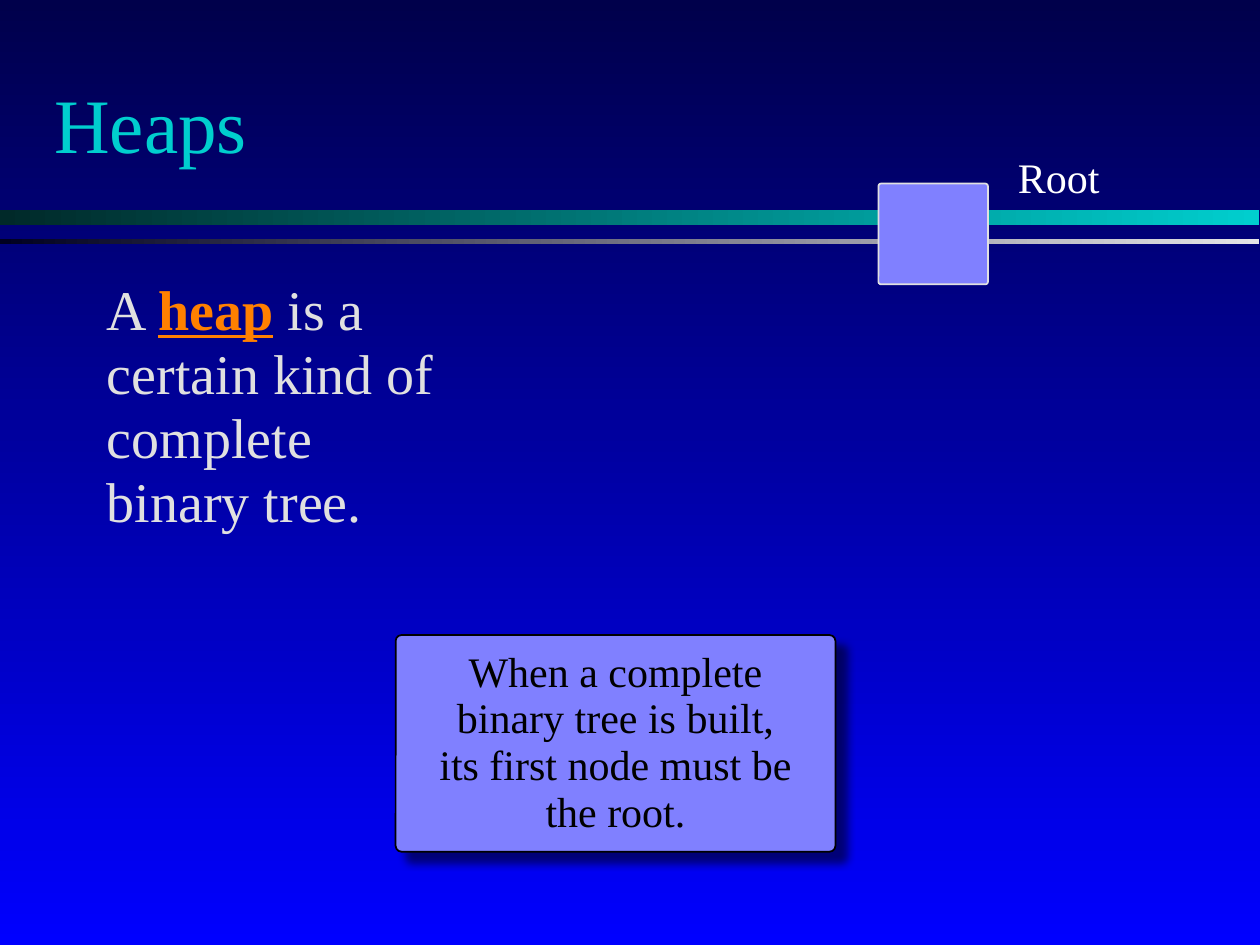
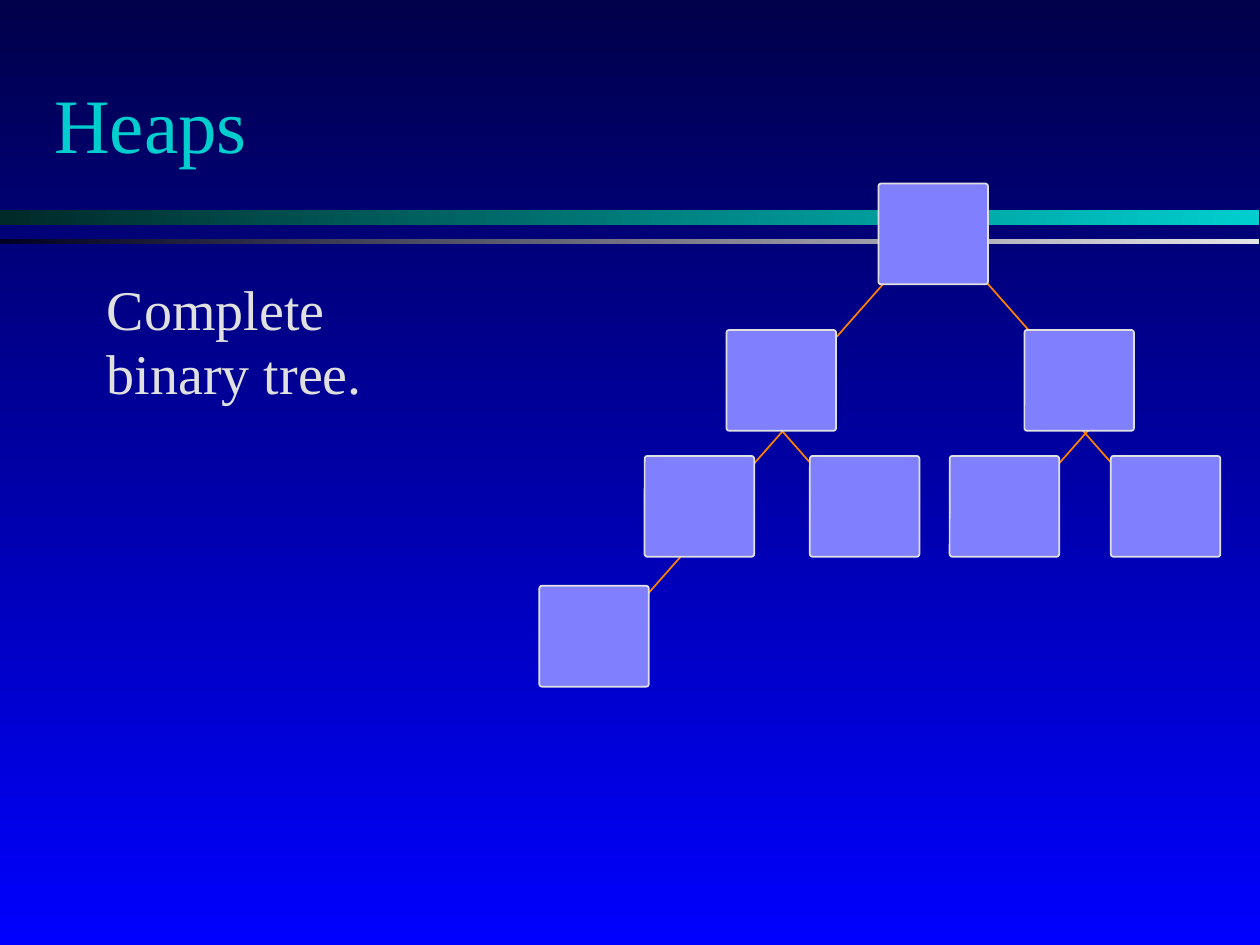
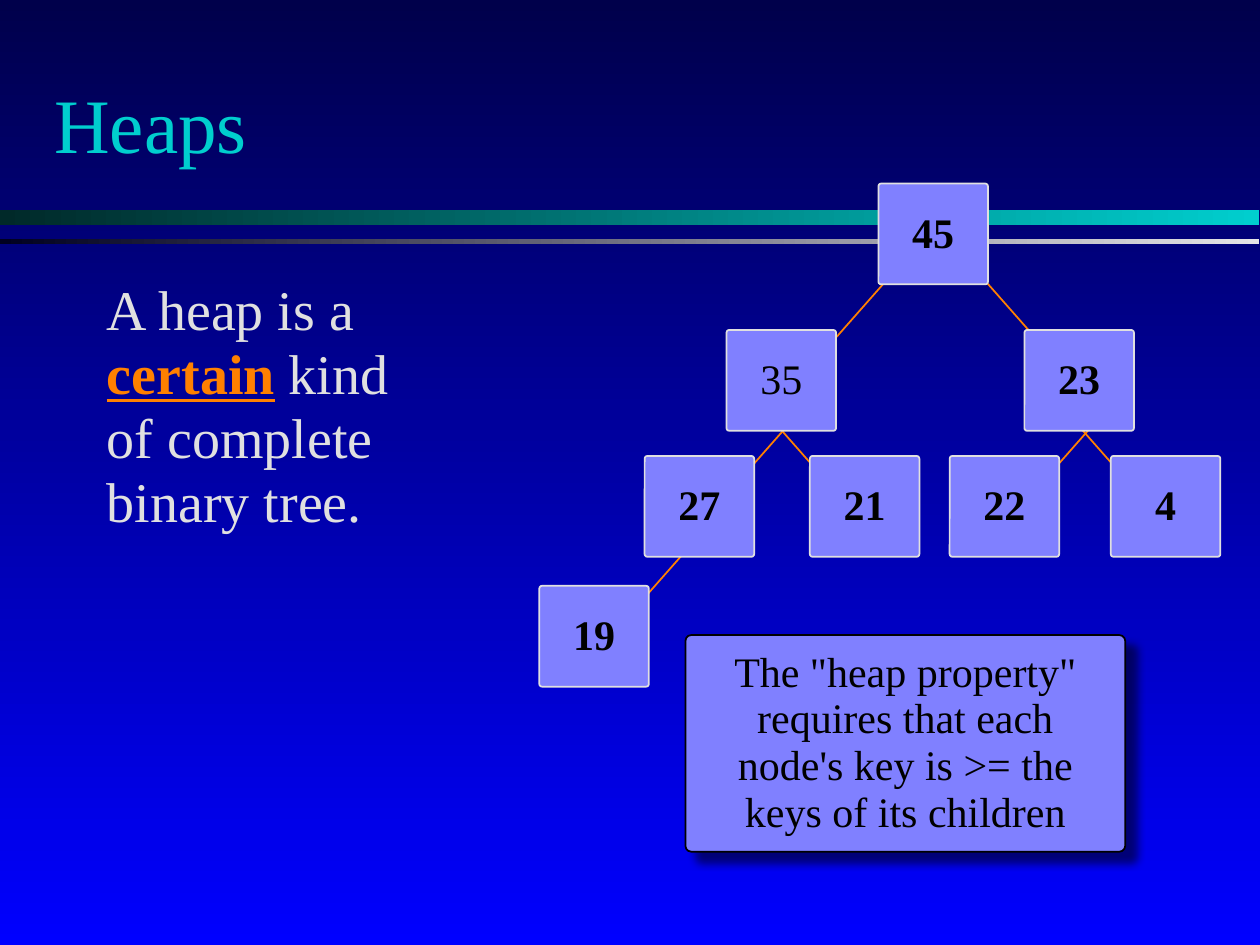
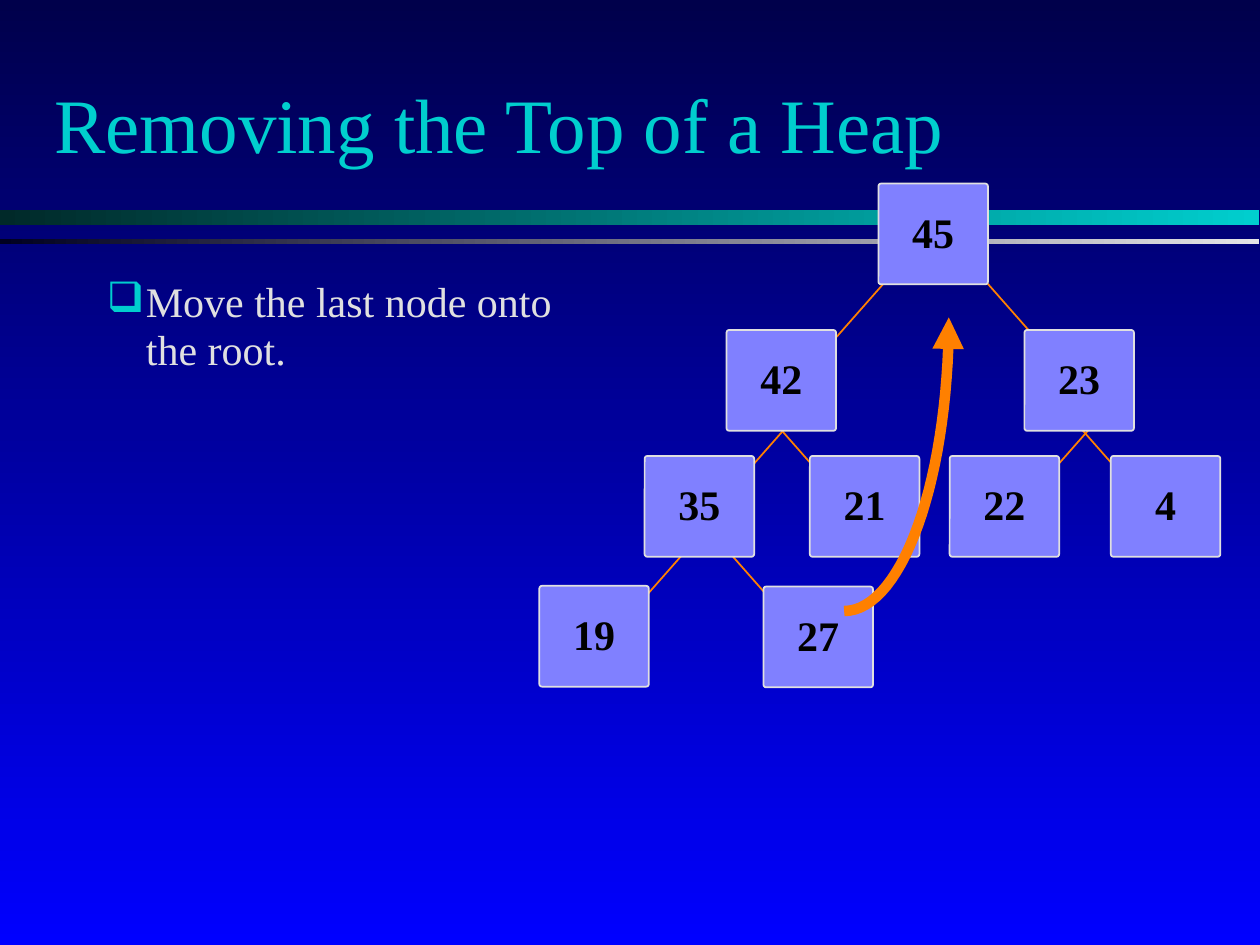
"""Build four slides that introduce heaps as complete binary trees."""
import math

from lxml import etree
from pptx import Presentation
from pptx.dml.color import RGBColor
from pptx.enum import shapes, text
from pptx.oxml.ns import qn
from pptx.util import Pt

FONT = "Times New Roman"
CYAN, ORANGE, LILAC, PALE, BLACK = "00CECE", "FF8000", "8080FF", "E0E0E0", "000000"
ROUNDED = shapes.MSO_SHAPE.ROUNDED_RECTANGLE

SLIDES = [
    dict(title="Heaps", body="A *heap* is a certain kind of complete binary tree.",
         keys=[""], label="Root", callout_left=226.1,
         callout=["When a complete", "binary tree is built,", "its first node must be", "the root."]),
    dict(title="Heaps", body="Complete binary tree.", keys=[""] * 8),
    dict(title="Heaps", body="A heap is a *certain* kind of complete binary tree.",
         keys=["45", "35", "23", "27", "21", "22", "4", "19"], plain="35", callout_left=391.7,
         callout=['The "heap property"', "requires that each", "node's key is >= the",
                  "keys of its children"]),
    dict(title="Removing the Top of a Heap", body="Move the last node onto the root.",
         keys=["45", "42", "23", "35", "21", "22", "4", "19", "27"], bullet="❑", arrow=True),
]

BANDS = [(120.2, 8.6, CYAN, "002929"), (136.8, 2.9, "E4E4E7", "000020")]
NODE_W, NODE_H = 62.6, 57.6
NODES = [(502, 104.9), (415.2, 188.6), (585.4, 188.6), (368.4, 260.6), (462.8, 260.6),
         (542.7, 260.6), (634.8, 260.6), (308.2, 334.8), (436.3, 335.2)]
EDGE_DX, EDGE_DY = 44.4, 50.4
EDGE_STARTS = [(506.9, 159.8), (559.2, 156.2), (460.1, 231.8), (434.2, 231.8),
               (634.3, 231.8), (606.2, 231.8), (399.6, 306), (408.2, 306)]
ARC_X, ARC_Y, ARC_RX, ARC_RY, ARC_STEPS = 482.4, 181.4, 59.8, 167.8, 30


def rgb(value):
    return RGBColor.from_string(value)


def pts(*values):
    return [Pt(v) for v in values]


def add_xml(parent, tag, **attrs):
    return etree.SubElement(parent, qn(tag), {k: str(v) for k, v in attrs.items()})


def gradient(fill, first, last, angle):
    fill.gradient()
    fill.gradient_angle = angle
    for stop, color in zip(fill.gradient_stops, (first, last)):
        stop.color.rgb = rgb(color)


def write(tf, paragraphs, size=24, color=BLACK, bold=False, spacing=0.95, align=None,
          anchor=text.MSO_ANCHOR.TOP, bullet=None):
    tf.word_wrap = True
    tf.auto_size = text.MSO_AUTO_SIZE.NONE
    tf.vertical_anchor = anchor
    for i, line in enumerate(paragraphs):
        p = tf.add_paragraph() if i else tf.paragraphs[0]
        p.line_spacing, p.alignment = spacing, align
        for j, part in enumerate(line.split("*")):
            marked = j % 2 == 1
            r = p.add_run()
            r.text = part
            f = r.font
            f.name, f.size, f.color.rgb = FONT, Pt(size), rgb(ORANGE if marked else color)
            f.bold, f.underline = bold or marked, marked
        if bullet:
            pPr = p._p.get_or_add_pPr()
            pPr.set("marL", str(Pt(22.3)))
            pPr.set("indent", str(Pt(-22.3)))
            add_xml(add_xml(pPr, "a:buClr"), "a:srgbClr", val=CYAN)
            add_xml(pPr, "a:buChar", char=bullet)


def add_box(s, left, top, width, height, line, round_by=0.027):
    sp = s.shapes.add_shape(ROUNDED, *pts(left, top, width, height))
    sp.adjustments[0] = round_by
    sp.shadow.inherit = False
    sp.fill.solid()
    sp.fill.fore_color.rgb = rgb(LILAC)
    sp.line.color.rgb, sp.line.width = rgb(line), Pt(1)
    return sp


def add_callout(s, left, lines):
    sp = add_box(s, left, 362.9, 251.3, 123.8, BLACK)
    effects = sp._element.spPr.find(qn("a:effectLst"))
    shadow = add_xml(effects, "a:outerShdw", blurRad=Pt(5), dist=Pt(8.5), dir=45 * 60000)
    add_xml(add_xml(shadow, "a:srgbClr", val=BLACK), "a:alpha", val=50000)
    write(sp.text_frame, lines, spacing=0.93, align=text.PP_ALIGN.CENTER,
          anchor=text.MSO_ANCHOR.MIDDLE)


def add_text(s, place, line, **fmt):
    write(s.shapes.add_textbox(*pts(*place)).text_frame, [line], **fmt)


def add_tree(s, keys, plain=None):
    for i, (x, y) in enumerate(EDGE_STARTS[:len(keys) - 1]):
        side = 1 if i % 2 else -1
        edge = s.shapes.add_connector(shapes.MSO_CONNECTOR.STRAIGHT,
                                      *pts(x, y, x + side * EDGE_DX, y + EDGE_DY))
        edge.line.color.rgb, edge.line.width = rgb(ORANGE), Pt(1)
        add_xml(edge._element.spPr, "a:effectLst")
    for key, (left, top) in zip(keys, NODES):
        node = add_box(s, left, top, NODE_W, NODE_H, PALE)
        if key:
            write(node.text_frame, [key], bold=key != plain, align=text.PP_ALIGN.CENTER,
                  anchor=text.MSO_ANCHOR.MIDDLE)


def add_arrow(s):
    angles = [math.pi / 2 * i / ARC_STEPS for i in range(ARC_STEPS + 1)]
    points = [pts(ARC_X + ARC_RX * math.sin(a), ARC_Y + ARC_RY * math.cos(a)) for a in angles]
    path_builder = s.shapes.build_freeform(*points[0])
    path_builder.add_line_segments(points[1:], close=False)
    sp = path_builder.convert_to_shape()
    sp.shadow.inherit = False
    sp.fill.background()
    sp.line.color.rgb, sp.line.width = rgb(ORANGE), Pt(6)
    add_xml(sp.line._get_or_add_ln(), "a:tailEnd", type="triangle")


def style_master(prs, s):
    master = prs.slide_master
    gradient(master.background.fill, "00004B", "0000FF", 270)
    for i, (top, height, first, last) in enumerate(BANDS):
        sp = add_box(s, 0, top, 719.3, height, BLACK, 0)
        sp.line.fill.background()
        gradient(sp.fill, first, last, 180)
        master.element.cSld.spTree.insert(2 + i, sp._element)


def add_slide(prs, data):
    s = prs.slides.add_slide(prs.slide_layouts[5])
    title = s.shapes.title
    title.left, title.top, title.width, title.height = pts(23.8, 27.4, 612, 90)
    write(title.text_frame, [data["title"]], size=44, color=CYAN, align=text.PP_ALIGN.LEFT,
          anchor=text.MSO_ANCHOR.MIDDLE)
    bullet = data.get("bullet")
    width, height, size = (280.8, 293, 24) if bullet else (208.8, 324, 32)
    add_text(s, (54, 156.2, width, height), data["body"], size=size, color=PALE, bullet=bullet)
    add_tree(s, data["keys"], data.get("plain"))
    if "callout" in data:
        add_callout(s, data["callout_left"], data["callout"])
    if "label" in data:
        add_text(s, (574.6, 85, 64, 36), data["label"], color="FFFFFF")
    if data.get("arrow"):
        add_arrow(s)
    return s


def main():
    prs = Presentation()
    prs.slide_width, prs.slide_height = pts(720, 540)
    made = [add_slide(prs, data) for data in SLIDES]
    style_master(prs, made[0])
    prs.save("out.pptx")


if __name__ == "__main__":
    main()
